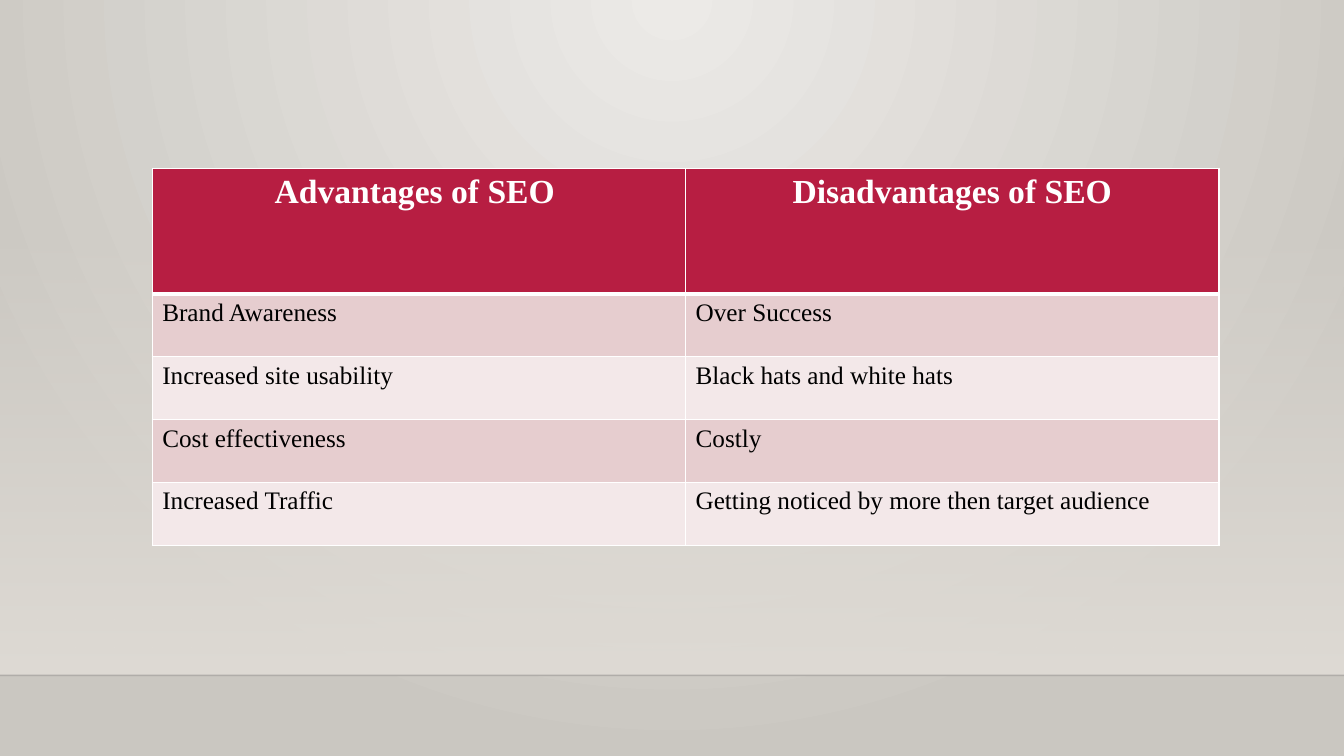
from lxml import etree
from pptx import Presentation, util as u
from pptx.dml.color import RGBColor
from pptx.enum import shapes, text
from pptx.oxml import ns

WHITE = RGBColor(0xFF, 0xFF, 0xFF)
BLACK = RGBColor(0, 0, 0)
CRIMSON = RGBColor(0xB7, 0x1E, 0x42)
ROSE = RGBColor(0xE6, 0xCD, 0xCF)
BLUSH = RGBColor(0xF3, 0xE8, 0xE9)
WALL_LIGHT = RGBColor(0xEC, 0xEA, 0xE7)
WALL_DARK = RGBColor(0xCA, 0xC7, 0xC1)
HAZE = RGBColor(0xDF, 0xDB, 0xD5)
FLOOR_EDGE = RGBColor(0, 0, 1)

ROWS = [
    ("Advantages of SEO ", "Disadvantages of SEO"),
    ("Brand Awareness", "Over Success"),
    ("Increased site usability", "Black hats and white hats"),
    ("Cost effectiveness", "Costly"),
    ("Increased Traffic", "Getting noticed by more then target audience"),
]


def add_child(parent, tag, **attributes):
    child = etree.SubElement(parent, ns.qn(tag))
    for name, value in attributes.items():
        child.set(name, str(value))
    return child


def blend(fill, start, end):
    """Give the fill a gradient from start to end and return its two stops."""
    fill.gradient()
    stops = list(fill.gradient_stops)
    for stop, color, position in zip(stops, (start, end), (0, 1)):
        stop.color.rgb = color
        stop.position = position
    return stops


deck = Presentation()
deck.slide_width = u.Inches(13.33)
deck.slide_height = u.Inches(7.5)
page = deck.slides.add_slide(deck.slide_layouts[6])
width, height = deck.slide_width, deck.slide_height

# Wall: light spreads from the middle of the top edge
blend(page.background.fill, WALL_LIGHT, WALL_DARK)
wall = next(page.element.iter(ns.qn("a:gradFill")))
wall.remove(wall.find(ns.qn("a:lin")))
glow = add_child(wall, "a:path", path="circle")
add_child(glow, "a:fillToRect", l=43000, t=0, r=43000, b=100000)

# Haze that thickens down to the floor line
floor = u.Inches(6.7)
haze_top = u.Inches(2.21)
haze = page.shapes.add_shape(
    shapes.MSO_SHAPE.RECTANGLE, 0, haze_top, width, floor - haze_top)
haze.shadow.inherit = False
haze.line.fill.background()
blend(haze.fill, HAZE, HAZE)
haze.fill.gradient_angle = 270
clear_color = next(haze.element.iter(ns.qn("a:srgbClr")))
add_child(clear_color, "a:alpha", val=0)

edge = page.shapes.add_connector(
    shapes.MSO_CONNECTOR.STRAIGHT, 0, floor, width, floor)
edge.line.color.rgb = FLOOR_EDGE
edge.line.width = u.Pt(1)
add_child(next(edge.element.iter(ns.qn("a:srgbClr"))), "a:alpha", val=20000)
add_child(edge.element.spPr, "a:effectLst")

# Table: the header is two body rows high
column_width = u.Inches(5.29)
row_height = u.Inches(3.74 / 6)
table = page.shapes.add_table(
    len(ROWS), 2, u.Inches(1.51), u.Inches(1.67),
    2 * column_width, 6 * row_height).table
for column in table.columns:
    column.width = column_width

for r, labels in enumerate(ROWS):
    header = r == 0
    table.rows[r].height = row_height * (2 if header else 1)
    for c, label in enumerate(labels):
        cell = table.cell(r, c)
        cell.text = label
        para = cell.text_frame.paragraphs[0]
        para.alignment = text.PP_ALIGN.CENTER if header else text.PP_ALIGN.LEFT
        para.font.name = "Times New Roman"
        para.font.size = u.Pt(24 if header else 18)
        para.font.bold = header
        para.font.color.rgb = WHITE if header else BLACK

        properties = cell._tc.get_or_add_tcPr()
        for side in ("L", "R", "T", "B"):
            thick = (header and side == "B") or (r == 1 and side == "T")
            border = add_child(properties, f"a:ln{side}", w=u.Pt(3 if thick else 1))
            add_child(add_child(border, "a:solidFill"), "a:srgbClr", val=WHITE)
        cell.fill.solid()
        cell.fill.fore_color.rgb = CRIMSON if header else (BLUSH, ROSE)[r % 2]

deck.save("out.pptx")
